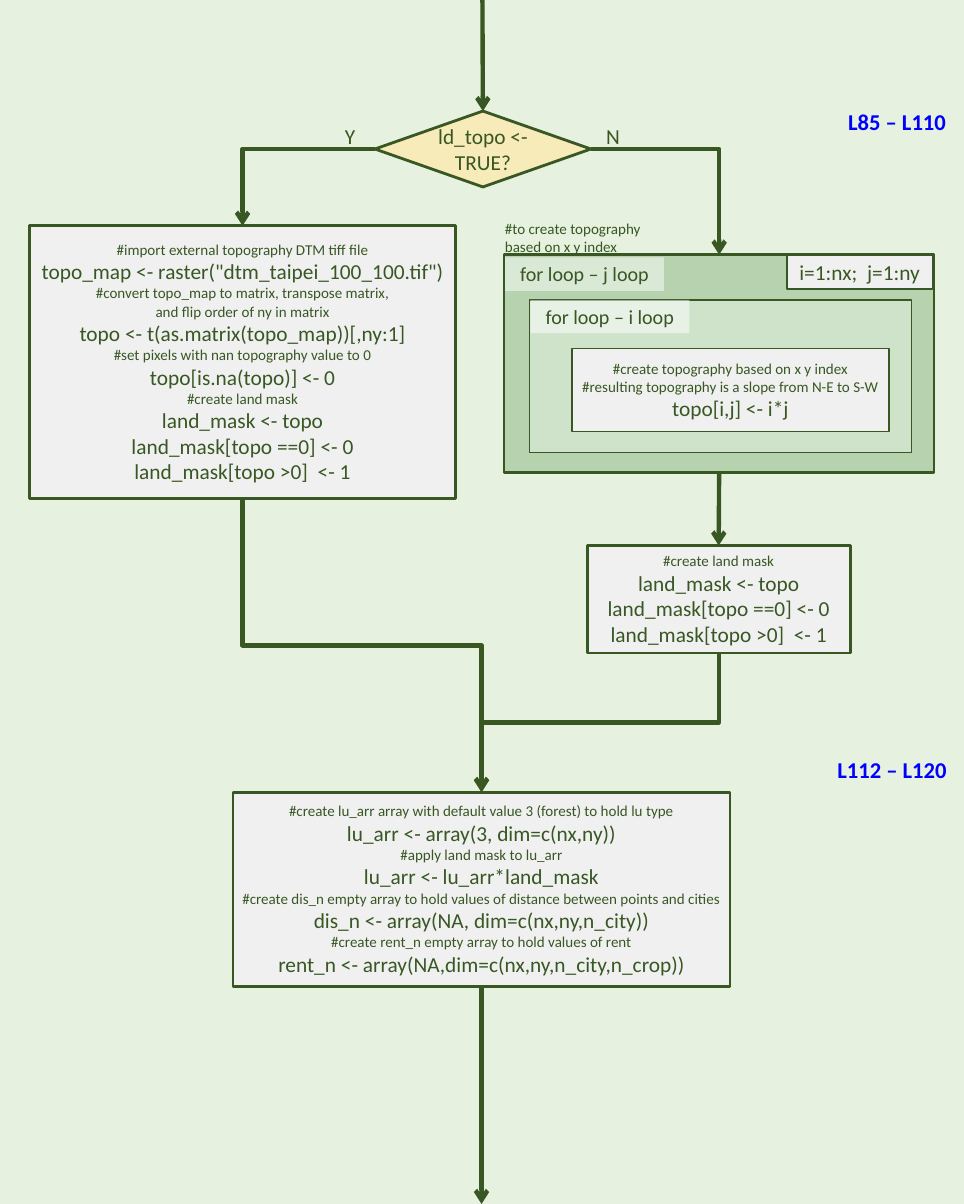
from lxml import etree
from pptx import Presentation
from pptx import util as u
from pptx.dml.color import RGBColor
from pptx.enum import shapes, text
from pptx.oxml.ns import qn

GREEN, GREY, BLUE = "385723", "F0F0F0", "0000FF"
PROCESS = shapes.MSO_SHAPE.FLOWCHART_PROCESS
RECT = shapes.MSO_SHAPE.RECTANGLE
TOP, LEFT, BOTTOM, RIGHT = range(4)
COMMENT_STARTS = ("#", "and flip", "based on")
LAND_MASK = ["#create land mask", "land_mask <- topo",
             "land_mask[topo ==0] <- 0", "land_mask[topo >0]  <- 1"]


def rgb(color):
    return RGBColor.from_string(color)


def write(sp, lines, size=17, color=GREEN, bold=False, align=text.PP_ALIGN.CENTER):
    """Write one paragraph per line; comment lines are set at 12 pt."""
    tf = sp.text_frame
    tf.text = "\n".join(lines)
    for p in tf.paragraphs:
        p.alignment = align
        for r in p.runs:
            r.font.name = "Calibri"
            r.font.size = u.Pt(12 if r.text.startswith(COMMENT_STARTS) else size)
            r.font.bold = bold
            r.font.color.rgb = rgb(color)


def block(s, box, lines=(), fill=GREY, line=2.25, kind=PROCESS):
    sp = s.shapes.add_shape(kind, *map(u.Inches, box))
    sp.shadow.inherit = False
    sp.fill.solid()
    sp.fill.fore_color.rgb = rgb(fill)
    sp.line.color.rgb = rgb(GREEN)
    sp.line.width = u.Pt(line)
    sp.text_frame.vertical_anchor = text.MSO_ANCHOR.MIDDLE
    write(sp, lines)
    return sp


def label(s, box, lines, wrap=True, **style):
    sp = s.shapes.add_textbox(*map(u.Inches, box))
    sp.text_frame.word_wrap = wrap
    write(sp, lines, align=text.PP_ALIGN.LEFT, **style)


def loop_tag(s, x, y, name):
    sp = block(s, (x, y, 1.76, 0.37), fill="FFFFFF", kind=RECT)
    sp.line.fill.background()
    sp.text_frame.vertical_anchor = text.MSO_ANCHOR.TOP
    write(sp, [name], size=16)
    color = sp.element.spPr.find(qn("a:solidFill"))[0]
    etree.SubElement(color, qn("a:alpha"), val="50000")


def side_point(sp, side):
    return {TOP: (sp.left + sp.width // 2, sp.top),
            LEFT: (sp.left, sp.top + sp.height // 2),
            BOTTOM: (sp.left + sp.width // 2, sp.top + sp.height),
            RIGHT: (sp.left + sp.width, sp.top + sp.height // 2)}[side]


def arrow(s, start, end, kind=shapes.MSO_CONNECTOR.STRAIGHT):
    """Join two ends, each a (shape, side) pair or an (x, y) point in inches."""
    joined = [hasattr(e[0], "shape_id") for e in (start, end)]
    points = [side_point(*e) if j else tuple(map(u.Inches, e))
              for e, j in zip((start, end), joined)]
    cxn = s.shapes.add_connector(kind, *points[0], *points[1])
    if joined[0]:
        cxn.begin_connect(*start)
    if joined[1]:
        cxn.end_connect(*end)
    cxn.line.color.rgb = rgb(GREEN)
    cxn.line.width = u.Pt(3.5)
    etree.SubElement(cxn.line._get_or_add_ln(), qn("a:tailEnd"), type="arrow")
    etree.SubElement(cxn.element.spPr, qn("a:effectLst"))
    return cxn


def corner_arrow(s, start, end):
    """Run sideways, then down."""
    cxn = arrow(s, start, end, shapes.MSO_CONNECTOR.ELBOW)
    cxn.element.spPr.find(qn("a:prstGeom")).set("prst", "bentConnector2")


def step_arrow(s, start, end):
    """Run down, sideways at half height, then down again."""
    cxn = arrow(s, start, end, shapes.MSO_CONNECTOR.ELBOW)
    leftward = cxn.begin_x > cxn.end_x
    w, h = cxn.width, cxn.height
    cxn.left, cxn.top = cxn.left + (w - h) // 2, cxn.top + (h - w) // 2
    cxn.width, cxn.height = h, w
    xfrm = cxn.element.spPr.find(qn("a:xfrm"))
    xfrm.set("rot", str((90 if leftward else 270) * 60000))
    xfrm.set("flipH", "0" if leftward else "1")


def decision(s, x, y):
    sp = block(s, (x, y, 2.39, 0.84), ["ld_topo <- TRUE?"], "F8EBBA",
               kind=shapes.MSO_SHAPE.FLOWCHART_DECISION)
    label(s, (x - 0.43, y + 0.08, 0.32, 0.39), ["Y"], wrap=False)
    label(s, (x + 2.46, y + 0.08, 0.36, 0.39), ["N"], wrap=False)
    return sp


def loops(s, x, y):
    outer = block(s, (x, y, 4.76, 2.41), fill="B6D2AE", kind=RECT)
    block(s, (x + 0.28, y + 0.5, 4.23, 1.69), fill="CFE3CB", line=1, kind=RECT)
    block(s, (x + 3.13, y + 0.01, 1.61, 0.37), ["i=1:nx;  j=1:ny"], line=1)
    block(s, (x + 0.75, y + 1.04, 3.51, 0.92), [
        "#create topography based on x y index",
        "#resulting topography is a slope from N-E to S-W",
        "topo[i,j] <- i*j"], line=1)
    loop_tag(s, x + 0.01, y + 0.03, "for loop – j loop")
    loop_tag(s, x + 0.29, y + 0.5, "for loop – i loop")
    label(s, (x - 0.09, y - 0.44, 3.32, 0.5),
          ["#to create topography", "based on x y index"])
    return outer


def flowchart(s):
    test = decision(s, 4.15, 1.23)
    load = block(s, (0.33, 2.5, 4.71, 3.02), [
        "#import external topography DTM tiff file",
        'topo_map <- raster("dtm_taipei_100_100.tif")',
        "#convert topo_map to matrix, transpose matrix,",
        "and flip order of ny in matrix",
        "topo <- t(as.matrix(topo_map))[,ny:1]",
        "#set pixels with nan topography value to 0",
        "topo[is.na(topo)] <- 0"] + LAND_MASK)
    slope = loops(s, 5.58, 2.82)
    mask = block(s, (6.5, 6.04, 2.91, 1.19), LAND_MASK)
    arrays = block(s, (2.58, 8.77, 5.5, 2.15), [
        "#create lu_arr array with default value 3 (forest) to hold lu type",
        "lu_arr <- array(3, dim=c(nx,ny))",
        "#apply land mask to lu_arr",
        "lu_arr <- lu_arr*land_mask",
        "#create dis_n empty array to hold values of distance between points and cities",
        "dis_n <- array(NA, dim=c(nx,ny,n_city))",
        "#create rent_n empty array to hold values of rent",
        "rent_n <- array(NA,dim=c(nx,ny,n_city,n_crop))"])

    arrow(s, (5.34, 0), (test, TOP))
    corner_arrow(s, (test, LEFT), (load, TOP))
    corner_arrow(s, (test, RIGHT), (slope, TOP))
    arrow(s, (slope, BOTTOM), (mask, TOP))
    step_arrow(s, (load, BOTTOM), (arrays, TOP))
    step_arrow(s, (mask, BOTTOM), (arrays, TOP))
    arrow(s, (arrays, BOTTOM), (5.33, 13.33))

    label(s, (9.29, 1.15, 1.37, 0.4), ["L85 – L110"], size=18, color=BLUE, bold=True)
    label(s, (9.17, 8.32, 1.45, 0.4), ["L112 – L120"], size=18, color=BLUE, bold=True)


def main():
    prs = Presentation()
    prs.slide_width, prs.slide_height = u.Inches(10.67), u.Inches(13.33)
    s = prs.slides.add_slide(prs.slide_layouts[6])
    s.background.fill.solid()
    s.background.fill.fore_color.rgb = rgb("E6F1DF")
    flowchart(s)
    prs.save("out.pptx")


if __name__ == "__main__":
    main()
